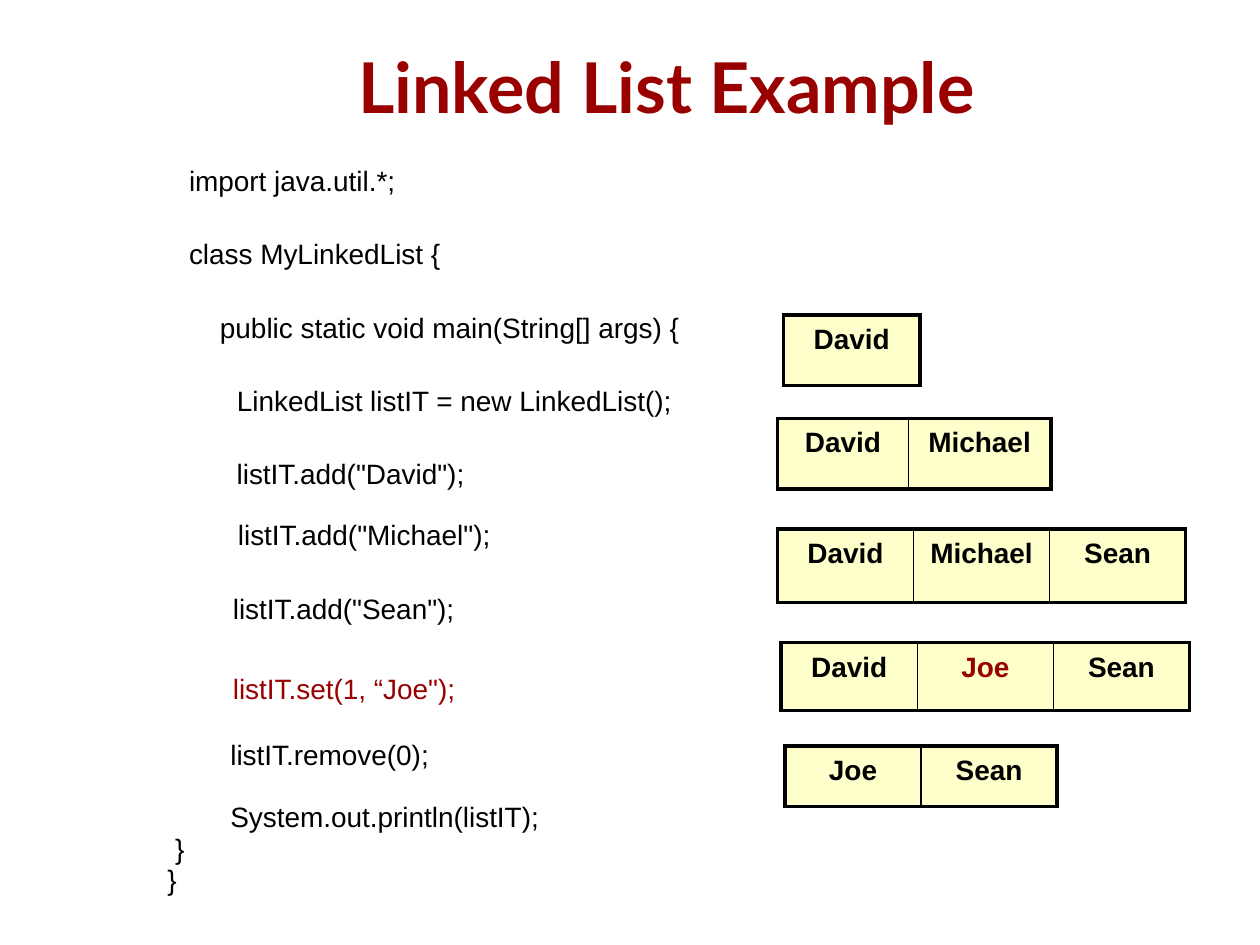
from lxml import etree
from pptx import Presentation
from pptx.dml.color import RGBColor
from pptx.enum.text import MSO_ANCHOR, MSO_AUTO_SIZE, PP_ALIGN
from pptx.oxml.ns import qn
from pptx.util import Inches, Pt

CENTER, LEFT = PP_ALIGN.CENTER, PP_ALIGN.LEFT
MIDDLE, TOP = MSO_ANCHOR.MIDDLE, MSO_ANCHOR.TOP
NO_AUTOFIT = MSO_AUTO_SIZE.NONE
BLACK, RED, CREAM = "000000", "990000", "FFFFCC"
OUTER, INNER = 2.25, 1


def color(value):
    return RGBColor.from_string(value)


def write(paragraph, text, size=16, font="Arial", fill=BLACK, bold=False,
          align=LEFT, spacing=0.93, before=0, indent=0):
    properties = paragraph._p.get_or_add_pPr()
    properties.set("marL", str(Inches(indent)))
    properties.set("indent", "0")
    etree.SubElement(properties, qn("a:buNone"))
    paragraph.alignment = align
    paragraph.line_spacing = spacing
    paragraph.space_before = Pt(before)
    run = paragraph.add_run()
    run.text = text
    run.font.size = Pt(size)
    run.font.name = font
    run.font.bold = bold
    run.font.color.rgb = color(fill)


presentation = Presentation()
presentation.slide_width = Inches(10)
presentation.slide_height = Inches(7.5)
slide = presentation.slides.add_slide(presentation.slide_layouts[1])
title, body = slide.placeholders

# Title and body placeholders
for shape, box, anchor in [
    (title, (1.91, 0.17, 6.76, 1.13), MIDDLE),
    (body, (1.5, 1.33, 3.99, 2.08), TOP),
]:
    shape.left, shape.top, shape.width, shape.height = map(Inches, box)
    frame = shape.text_frame
    frame.margin_left = frame.margin_right = 0
    frame.margin_top = frame.margin_bottom = 0
    frame.vertical_anchor = anchor
    frame.auto_size = NO_AUTOFIT
    frame.word_wrap = True

write(title.text_frame.paragraphs[0], "Linked List Example", size=40,
      font="Lato", fill=RED, bold=True, align=CENTER, spacing=0.81)

# Opening lines of the program
opening = [
    ("import java.util.*;", 0),
    ("class MyLinkedList {", 0),
    ("    public static void main(String[] args) {", 0),
    ("LinkedList listIT = new LinkedList();", 0.38),
]
for index, (line, indent) in enumerate(opening):
    frame = body.text_frame
    paragraph = frame.add_paragraph() if index else frame.paragraphs[0]
    write(paragraph, line, spacing=0.9, indent=indent,
          before=24.6 if index else 0)

# List calls: left, top, width, height, colour, lines (text, indent, space before)
calls = [
    (1.78, 3.6, 3.71, 0.35, BLACK, [('listIT.add("David");', 0, 0)]),
    (1.79, 4.08, 2.67, 0.35, BLACK, [('listIT.add("Michael");', 0, 0)]),
    (1.75, 4.67, 2.33, 0.35, BLACK, [('listIT.add("Sean");', 0, 0)]),
    (1.75, 5.3, 2.67, 0.35, RED, [('listIT.set(1, “Joe");', 0, 0)]),
    (1.23, 5.83, 3.75, 1.34, BLACK, [
        ("listIT.remove(0);", 0.5, 0),
        ("System.out.println(listIT);", 0.5, 17.7),
        (" }", 0, 0),
        ("}", 0, 0),
    ]),
]
for left, top, width, height, fill, lines in calls:
    shape = slide.shapes.add_textbox(
        Inches(left), Inches(top), Inches(width), Inches(height))
    frame = shape.text_frame
    frame.word_wrap = True
    for index, (line, indent, before) in enumerate(lines):
        paragraph = frame.add_paragraph() if index else frame.paragraphs[0]
        write(paragraph, line, fill=fill, indent=indent, before=before)

# List contents after each call: left, top, row height, column widths, names
states = [
    (6.22, 2.5, 0.56, [1.08], ["David"]),
    (6.17, 3.32, 0.56, [1.04, 1.13], ["David", "Michael"]),
    (6.17, 4.2, 0.58, [1.08] * 3, ["David", "Michael", "Sean"]),
    (6.2, 5.1, 0.54, [1.08] * 3, ["David", "Joe", "Sean"]),
    (6.23, 5.92, 0.48, [1.08] * 2, ["Joe", "Sean"]),
]
for left, top, height, widths, names in states:
    table = slide.shapes.add_table(
        1, len(names), Inches(left), Inches(top),
        Inches(sum(widths)), Inches(height)).table
    last = len(names) - 1
    for column, (width, name) in enumerate(zip(widths, names)):
        table.columns[column].width = Inches(width)
        cell = table.cell(0, column)
        replaced = name == "Joe" and "David" in names
        write(cell.text_frame.paragraphs[0], name, bold=True, align=CENTER,
              spacing=1.1, fill=RED if replaced else BLACK)
        borders = {
            "a:lnL": INNER if column else OUTER,
            "a:lnR": INNER if column < last else OUTER,
            "a:lnT": OUTER,
            "a:lnB": OUTER,
        }
        for tag, weight in borders.items():
            line = etree.SubElement(cell._tc.get_or_add_tcPr(), qn(tag),
                                    w=str(Pt(weight)))
            solid = etree.SubElement(line, qn("a:solidFill"))
            etree.SubElement(solid, qn("a:srgbClr"), val=BLACK)
        cell.fill.solid()
        cell.fill.fore_color.rgb = color(CREAM)

presentation.save("out.pptx")
